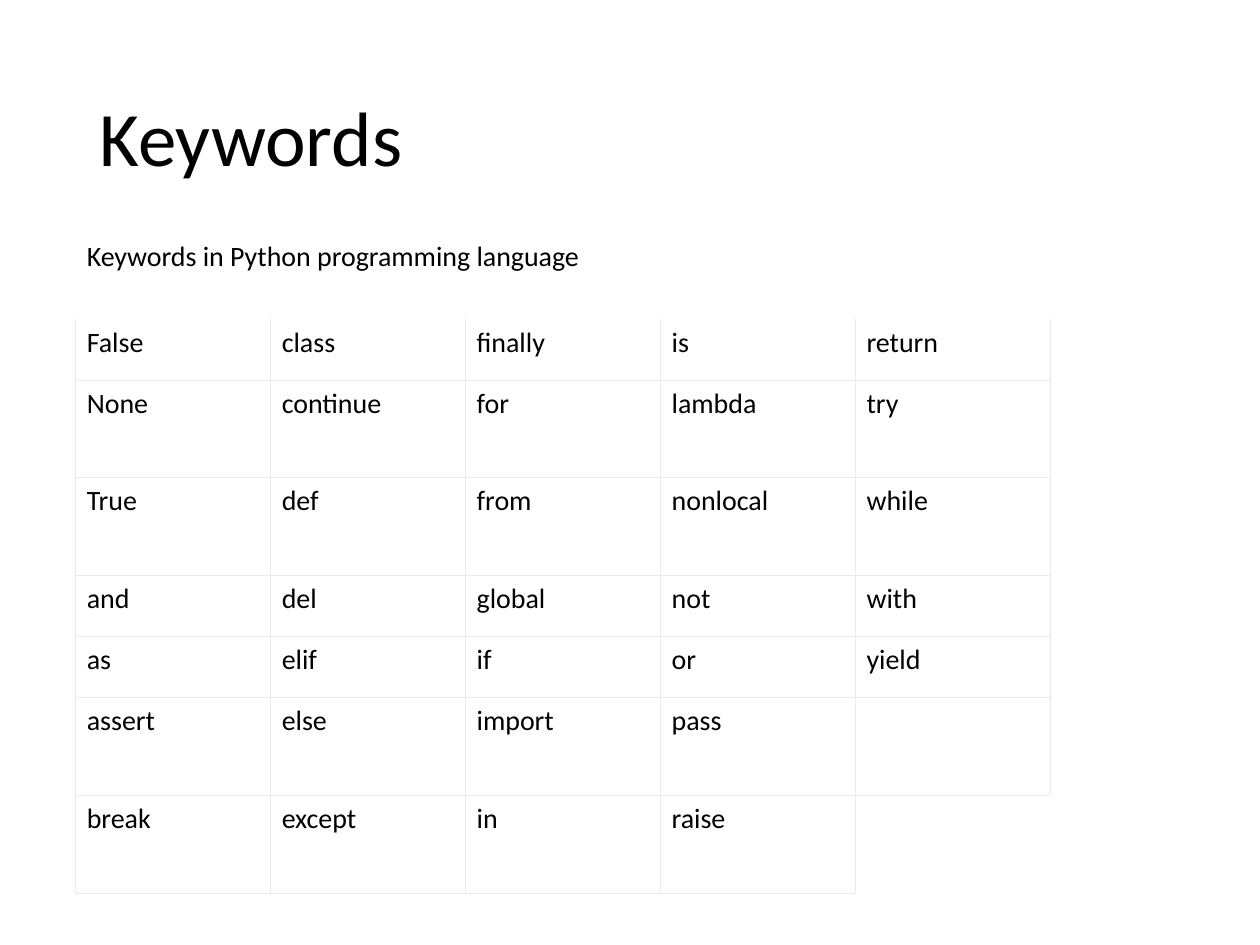
import pptx
import pptx.dml.color
import pptx.enum.text
import pptx.util
from lxml import etree
from pptx.oxml.ns import qn

Cm = pptx.util.Cm
Pt = pptx.util.Pt
RGBColor = pptx.dml.color.RGBColor

TITLE = "Keywords"
HEADING = "Keywords in Python programming language"
KEYWORDS = [
    ["False", "class", "finally", "is", "return"],
    ["None", "continue", "for", "lambda", "try"],
    ["True", "def", "from", "nonlocal", "while"],
    ["and", "del", "global", "not", "with"],
    ["as", "elif", "if", "or", "yield"],
    ["assert", "else", "import", "pass", ""],
    ["break", "except", "in", "raise", ""],
]
HEADING_HEIGHT, SHORT, TALL = 1.73, 1.23, 1.97
ROW_HEIGHTS = [HEADING_HEIGHT, SHORT, TALL, TALL, SHORT, SHORT, TALL, TALL]
COLUMN_WIDTH = 3.93
NO_GRID_STYLE = "{2D5ABB26-0587-4C30-8999-92F81FD0307C}"

BLACK = RGBColor(0x00, 0x00, 0x00)
WHITE = RGBColor(0xFF, 0xFF, 0xFF)
GRID = RGBColor(0xEA, 0xEA, 0xEC)


def write(tf, text, size, spacing):
    tf.text = text
    p = tf.paragraphs[0]
    p.alignment = pptx.enum.text.PP_ALIGN.LEFT
    p.line_spacing = spacing
    for r in p.runs:
        r.font.name = "Calibri"
        r.font.size = Pt(size)
        r.font.color.rgb = BLACK


def set_borders(cell, sides):
    tcPr = cell._tc.get_or_add_tcPr()
    for side in "LRTB":
        ln = etree.SubElement(tcPr, qn(f"a:ln{side}"), w=str(Pt(0.34)))
        if side in sides:
            fill = etree.SubElement(ln, qn("a:solidFill"))
            etree.SubElement(fill, qn("a:srgbClr"), val=str(GRID))
        else:
            etree.SubElement(ln, qn("a:noFill"))


def format_cell(cell, text, sides, right_margin, filled=True):
    cell.margin_left, cell.margin_right = Cm(0.23), Cm(right_margin)
    cell.margin_top = cell.margin_bottom = Cm(0.13)
    write(cell.text_frame, text, 16, 0.98)
    set_borders(cell, sides)
    if filled:
        cell.fill.solid()
        cell.fill.fore_color.rgb = WHITE
    else:
        cell.fill.background()


def add_keyword_table(slide):
    rows, cols = len(ROW_HEIGHTS), len(KEYWORDS[0])
    frame = slide.shapes.add_table(
        rows, cols, Cm(1.52), Cm(4.7), Cm(COLUMN_WIDTH * cols), Cm(sum(ROW_HEIGHTS)))
    table = frame.table
    table.first_row = table.horz_banding = False
    table._tbl.tblPr.find(qn("a:tableStyleId")).text = NO_GRID_STYLE
    for column in table.columns:
        column.width = Cm(COLUMN_WIDTH)
    for row, height in zip(table.rows, ROW_HEIGHTS):
        row.height = Cm(height)

    heading = table.cell(0, 0)
    heading.merge(table.cell(0, cols - 1))
    format_cell(heading, HEADING, "", 0.23)
    for i, words in enumerate(KEYWORDS, 1):
        for j, word in enumerate(words):
            last = i == rows - 1 and j == cols - 1
            sides = "LT" if last else "LRB" if i == 1 else "LRTB"
            format_cell(table.cell(i, j), word, sides, 0.18, not last)


def main():
    prs = pptx.Presentation()
    prs.slide_width, prs.slide_height = Cm(25.4), Cm(19.05)
    slide = prs.slides.add_slide(prs.slide_layouts[5])

    title = slide.shapes.title
    title.left, title.top, title.width, title.height = Cm(1.75), Cm(1.02), Cm(21.92), Cm(3.68)
    title.text_frame.vertical_anchor = pptx.enum.text.MSO_ANCHOR.MIDDLE
    write(title.text_frame, TITLE, 44, 0.9)

    add_keyword_table(slide)
    prs.save("out.pptx")


if __name__ == "__main__":
    main()
